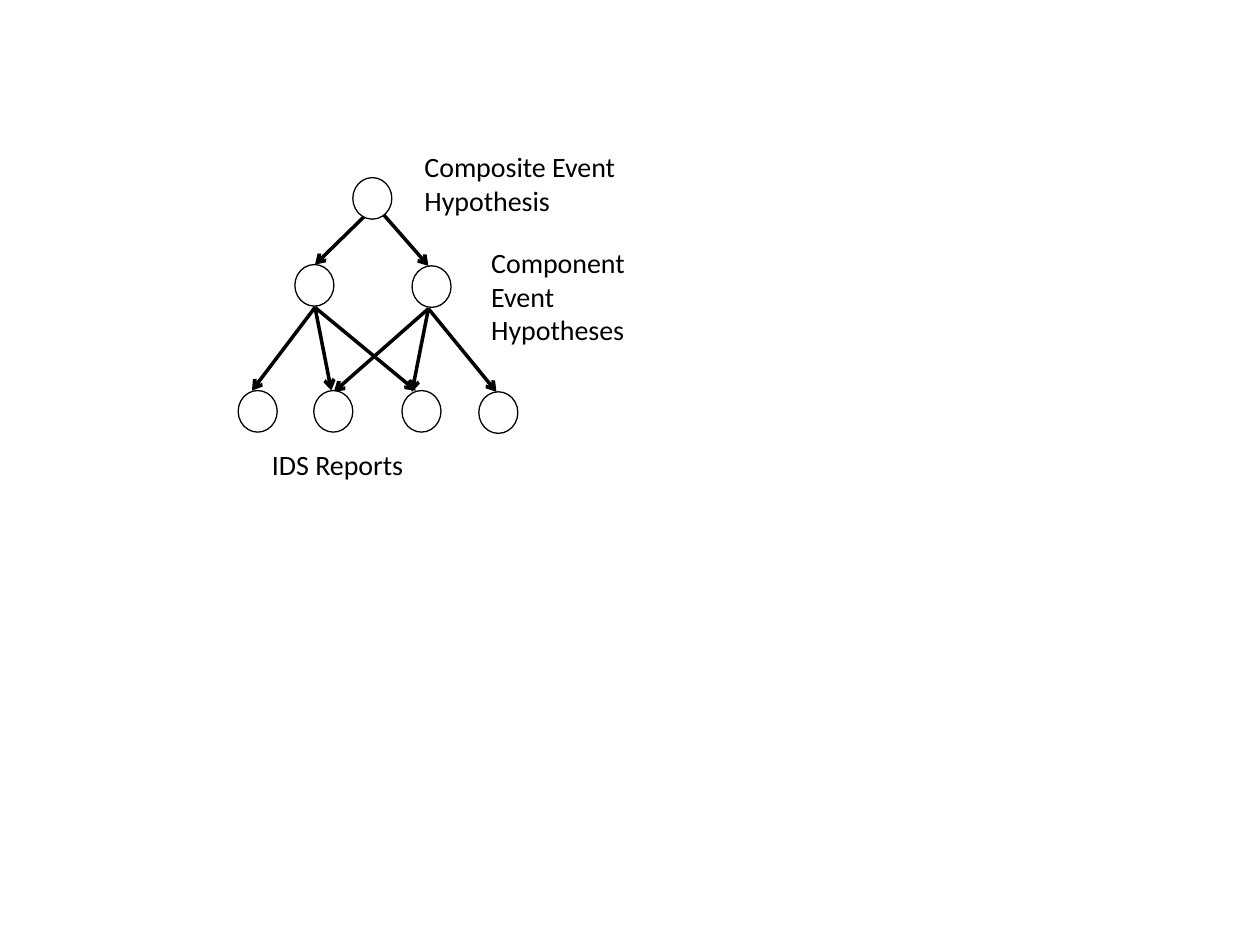
"""Builds a slide with a tree of event hypotheses over IDS reports."""
from lxml import etree
from pptx import Presentation
from pptx.dml.color import RGBColor
from pptx.enum.shapes import MSO_CONNECTOR, MSO_SHAPE
from pptx.enum.text import PP_ALIGN
from pptx.oxml.ns import qn
from pptx.util import Inches, Pt

STRAIGHT = MSO_CONNECTOR.STRAIGHT
OVAL = MSO_SHAPE.OVAL
LEFT, RIGHT = PP_ALIGN.LEFT, PP_ALIGN.RIGHT

COLORS = {"ink": "000000", "paper": "FFFFFF"}
FONT = {"name": "Calibri", "size": Pt(16)}
NODE_SIZE = (0.31, 0.33)

NODES = [
    (2.34, 2.1), (3.27, 2.11),
    (1.89, 3.1), (2.49, 3.1), (3.19, 3.1), (3.8, 3.11),
    (2.8, 1.41),
]
BRANCHES = [
    ((2.5, 2.44), [(2, 3.1), (2.63, 3.1), (3.3, 3.1)]),
    ((3.4, 2.45), [(2.65, 3.11), (3.27, 3.11), (3.94, 3.11)]),
    ((2.91, 1.7), [(2.5, 2.1)]),
    ((2.91, 1.55), [(3.4, 2.11)]),
]
LABELS = [
    (["Composite Event", "Hypothesis"], (3.27, 1.14, 1.79, 0.7), LEFT),
    (["Component Event", "Hypotheses"], (3.8, 1.9, 1.79, 0.7), LEFT),
    (["IDS Reports"], (1.84, 3.5, 1.46, 0.4), RIGHT),
]


def color(key):
    return RGBColor.from_string(COLORS[key])


def inches(*lengths):
    return [Inches(length) for length in lengths]


def add_node(slide, position):
    node = slide.shapes.add_shape(OVAL, *inches(*position, *NODE_SIZE))
    node.shadow.inherit = False
    node.fill.solid()
    node.fill.fore_color.rgb = color("paper")
    node.line.color.rgb = color("ink")
    node.line.width = Pt(0.75)


def add_arrow(slide, start, end):
    arrow = slide.shapes.add_connector(STRAIGHT, *inches(*start, *end))
    arrow.line.color.rgb = color("ink")
    arrow.line.width = Pt(2)
    etree.SubElement(arrow.line._get_or_add_ln(), qn("a:tailEnd"), type="arrow")
    etree.SubElement(arrow._element.spPr, qn("a:effectLst"))


def add_label(slide, lines, box, alignment):
    frame = slide.shapes.add_textbox(*inches(*box)).text_frame
    frame.word_wrap = False
    frame.text = "\n".join(lines)
    for paragraph in frame.paragraphs:
        paragraph.alignment = alignment
        for attribute, value in FONT.items():
            setattr(paragraph.font, attribute, value)
        paragraph.font.color.rgb = color("ink")


def main():
    deck = Presentation()
    deck.slide_width, deck.slide_height = inches(10, 7.5)
    slide = deck.slides.add_slide(deck.slide_layouts.get_by_name("Blank"))
    for parent, children in BRANCHES:
        for child in children:
            add_arrow(slide, parent, child)
    for position in NODES:
        add_node(slide, position)
    for label in LABELS:
        add_label(slide, *label)
    deck.save("out.pptx")


if __name__ == "__main__":
    main()
